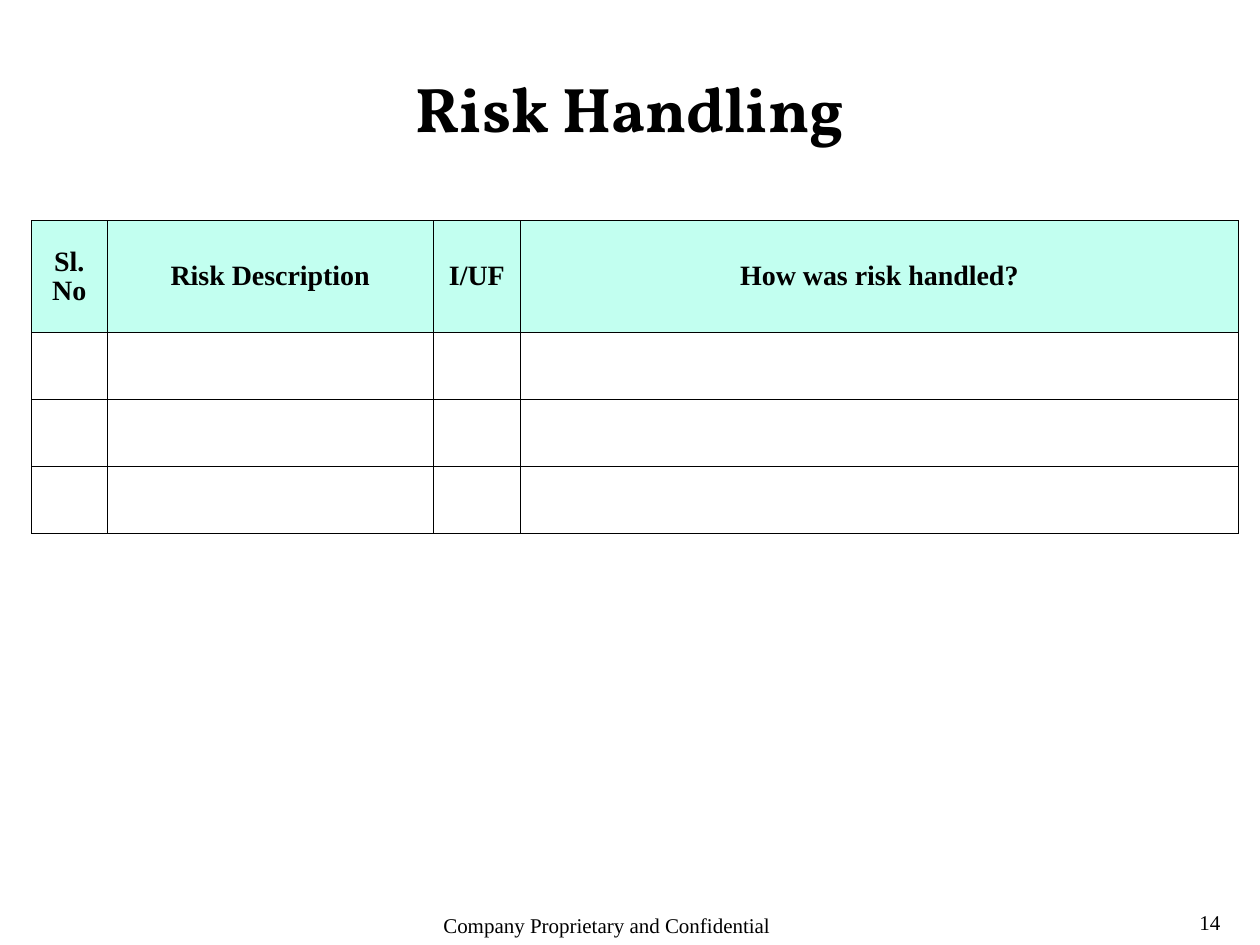
from lxml.etree import SubElement
from pptx import Presentation
from pptx.dml.color import RGBColor
from pptx.enum.text import MSO_ANCHOR, PP_ALIGN
from pptx.oxml.ns import qn
from pptx.util import Inches, Pt

# Content
TITLE = "Risk Handling"
COLUMNS = [  # heading, width in inches
    ("Sl. No", 0.6),
    ("Risk Description", 2.59),
    ("I/UF", 0.69),
    ("How was risk handled?", 5.7),
]
ROW_HEIGHTS = [0.89] + [0.53] * 3
FOOTERS = [  # text, left, top, width, height in inches
    ("14", 9.42, 7.17, 0.58, 0.33),
    ("Company Proprietary and Confidential", 3.42, 7.19, 3.16, 0.31),
]

BLACK = RGBColor(0x00, 0x00, 0x00)
MINT = RGBColor(0xC2, 0xFF, 0xF0)
BODY_FONT = "Times New Roman"
TITLE_FONT = "Vollkorn"
SLIDE_WIDTH, SLIDE_HEIGHT = 10, 7.5
TITLE_WIDTH = 4.08
TABLE_LEFT, TABLE_TOP = 0.25, 1.75
BORDER_WIDTH = Pt(0.45)


def add_text(paragraph, text, size, font_name=BODY_FONT, bold=False):
    run = paragraph.add_run()
    run.text = text
    run.font.name = font_name
    run.font.size = Pt(size)
    run.font.bold = bold
    run.font.color.rgb = BLACK


def add_borders(cell):
    properties = cell._tc.get_or_add_tcPr()
    for position, side in enumerate(("a:lnL", "a:lnR", "a:lnT", "a:lnB")):
        line = SubElement(properties, qn(side), w=str(int(BORDER_WIDTH)))
        fill = SubElement(line, qn("a:solidFill"))
        SubElement(fill, qn("a:srgbClr"), val=str(BLACK))
        properties.insert(position, line)  # borders precede the fill


presentation = Presentation()
presentation.slide_width = Inches(SLIDE_WIDTH)
presentation.slide_height = Inches(SLIDE_HEIGHT)
slide = presentation.slides.add_slide(presentation.slide_layouts[5])

# Title
title = slide.shapes.title
title.left, title.top = Inches((SLIDE_WIDTH - TITLE_WIDTH) / 2), Inches(0.5)
title.width, title.height = Inches(TITLE_WIDTH), Inches(0.7)
title.text_frame.vertical_anchor = MSO_ANCHOR.TOP
title.text_frame.word_wrap = False
heading = title.text_frame.paragraphs[0]
heading.alignment = PP_ALIGN.CENTER
add_text(heading, TITLE, 36, TITLE_FONT, bold=True)

# Risk table
table = slide.shapes.add_table(
    len(ROW_HEIGHTS), len(COLUMNS), Inches(TABLE_LEFT), Inches(TABLE_TOP),
    Inches(sum(width for _, width in COLUMNS)), Inches(sum(ROW_HEIGHTS)),
).table
table.horz_banding = False
for row, height in zip(table.rows, ROW_HEIGHTS):
    row.height = Inches(height)
for index, (label, width) in enumerate(COLUMNS):
    table.columns[index].width = Inches(width)
    header = table.cell(0, index)
    header.vertical_anchor = MSO_ANCHOR.MIDDLE
    header.margin_top = Inches(0.06)
    label_line = header.text_frame.paragraphs[0]
    label_line.alignment = PP_ALIGN.CENTER
    label_line.line_spacing = 0.93
    add_text(label_line, label, 16, bold=True)
    for row_index in range(len(ROW_HEIGHTS)):
        cell = table.cell(row_index, index)
        if row_index == 0:
            cell.fill.solid()
            cell.fill.fore_color.rgb = MINT
        else:
            cell.fill.background()
        add_borders(cell)

# Page number and confidentiality note
for text, *box in FOOTERS:
    footer = slide.shapes.add_textbox(*map(Inches, box)).text_frame
    footer.word_wrap = False
    add_text(footer.paragraphs[0], text, 12)

presentation.save("out.pptx")
